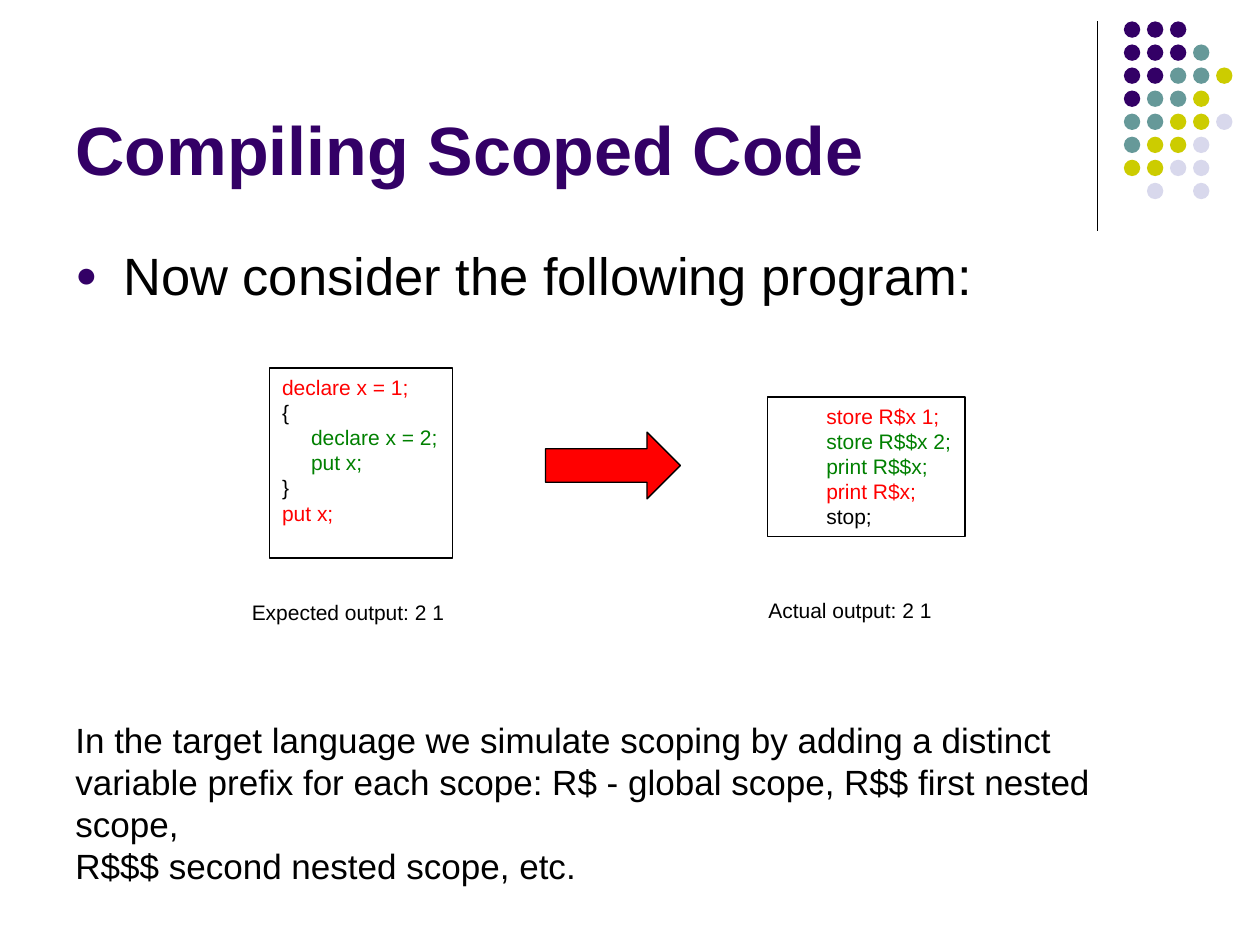
from lxml.etree import SubElement
from pptx import Presentation
from pptx.dml.color import RGBColor
from pptx.enum.shapes import MSO_CONNECTOR, MSO_SHAPE
from pptx.enum.text import MSO_ANCHOR, PP_ALIGN
from pptx.oxml.ns import qn
from pptx.util import Inches, Pt

BLACK = RGBColor(0x00, 0x00, 0x00)
RED = RGBColor(0xFF, 0x00, 0x00)
GREEN = RGBColor(0x00, 0x80, 0x00)
PURPLE = RGBColor(0x33, 0x00, 0x66)
TEAL = RGBColor(0x66, 0x99, 0x99)
OLIVE = RGBColor(0xCC, 0xCC, 0x00)
LAVENDER = RGBColor(0xD8, 0xD8, 0xEC)

DOT_COLORS = {"P": PURPLE, "T": TEAL, "O": OLIVE, "L": LAVENDER}
DOT_ROWS = ["PPP", "PPPT", "PPTTO", "PTTO", "TTOOL", "TOOL", "OOLL", " L L"]

SOURCE_CODE = [
    ("declare x = 1;", RED, 0),
    ("{", BLACK, 0),
    ("declare x = 2;", GREEN, 0.23),
    ("put x;", GREEN, 0.23),
    ("}", BLACK, 0),
    ("put x;", RED, 0),
]
TARGET_CODE = [
    ("store R$x 1;", RED, 0.37),
    ("store R$$x 2;", GREEN, 0.37),
    ("print R$$x;", GREEN, 0.37),
    ("print R$x;", RED, 0.37),
    ("stop;", BLACK, 0.37),
]
EXPLANATION = (
    "In the target language we simulate scoping by adding a distinct\v"
    "variable prefix for each scope: R$ - global scope, R$$ first nested scope,\v"
    "R$$$ second nested scope, etc."
)


def inches(box):
    return [Inches(length) for length in box]


def set_font(para, size, color, bold=False):
    para.font.name = "Arial"
    para.font.size = Pt(size)
    para.font.color.rgb = color
    para.font.bold = bold


def add_shape(page, kind, box, fill=None, outlined=True):
    shape = page.shapes.add_shape(kind, *inches(box))
    shape.shadow.inherit = False
    if fill is None:
        shape.fill.background()
    else:
        shape.fill.solid()
        shape.fill.fore_color.rgb = fill
    if outlined:
        shape.line.color.rgb = BLACK
        shape.line.width = Pt(0.75)
    else:
        shape.line.fill.background()
    return shape


def add_text(page, box, text, size):
    frame = page.shapes.add_textbox(*inches(box)).text_frame
    frame.word_wrap = True
    para = frame.paragraphs[0]
    para.text = text
    set_font(para, size, BLACK)
    return para


def add_dot_ornament(page, left, top):
    """Draw the corner rule and the dot grid to the right of it."""
    rule = page.shapes.add_connector(
        MSO_CONNECTOR.STRAIGHT, *inches((left, top, left, top + 1.66)))
    rule.line.color.rgb = BLACK
    rule.line.width = Pt(0.75)
    SubElement(rule._element.spPr, qn("a:effectLst"))
    pitch, size = 0.183, 0.13
    for row, codes in enumerate(DOT_ROWS):
        for column, code in enumerate(codes):
            if code in DOT_COLORS:
                box = (left + 0.21 + column * pitch, top + row * pitch, size, size)
                add_shape(page, MSO_SHAPE.OVAL, box, DOT_COLORS[code], outlined=False)


def place_title(page, box, text):
    title = page.shapes.title
    title.left, title.top, title.width, title.height = inches(box)
    frame = title.text_frame
    frame.text = text
    frame.vertical_anchor = MSO_ANCHOR.BOTTOM
    para = frame.paragraphs[0]
    para.alignment = PP_ALIGN.LEFT
    set_font(para, 39, PURPLE, bold=True)


def add_bullet(page, box, text):
    para = add_text(page, box, text, 30)
    para.space_before = Pt(6)
    props = para._p.get_or_add_pPr()
    props.set("marL", str(Inches(0.38)))
    props.set("indent", str(-Inches(0.38)))
    color = SubElement(props, qn("a:buClr"))
    SubElement(color, qn("a:srgbClr"), val=str(PURPLE))
    SubElement(props, qn("a:buSzPct"), val="70000")
    SubElement(props, qn("a:buFont"), typeface="Arial")
    SubElement(props, qn("a:buChar"), char="●")
    # The schema wants the default run properties after the bullet.
    props.append(props.find(qn("a:defRPr")))


def add_code_box(page, box, lines):
    frame = add_shape(page, MSO_SHAPE.RECTANGLE, box).text_frame
    frame.word_wrap = True
    frame.margin_right = 0
    frame.vertical_anchor = MSO_ANCHOR.TOP
    for number, (text, color, indent) in enumerate(lines):
        para = frame.add_paragraph() if number else frame.paragraphs[0]
        para.text = text
        para.alignment = PP_ALIGN.LEFT
        para._p.get_or_add_pPr().set("marL", str(Inches(indent)))
        set_font(para, 12, color)


def main():
    deck = Presentation()
    deck.slide_width, deck.slide_height = Inches(10), Inches(7.5)
    page = deck.slides.add_slide(deck.slide_layouts[5])
    add_dot_ornament(page, 8.71, 0.17)
    place_title(page, (0.5, 0.13, 8.25, 1.42), "Compiling Scoped Code")
    add_bullet(page, (0.5, 1.88, 9, 1.2), "Now consider the following program:")
    add_code_box(page, (2.14, 2.92, 1.45, 1.51), SOURCE_CODE)
    add_code_box(page, (6.09, 3.15, 1.57, 1.11), TARGET_CODE)
    add_shape(page, MSO_SHAPE.RIGHT_ARROW, (4.33, 3.43, 1.07, 0.53), RED)
    add_text(page, (0.5, 5.65, 9.14, 1.1), EXPLANATION, 20)
    add_text(page, (1.9, 4.71, 1.73, 0.3), "Expected output: 2 1", 12)
    add_text(page, (6, 4.69, 1.5, 0.3), "Actual output: 2 1", 12)
    deck.save("out.pptx")


if __name__ == "__main__":
    main()
